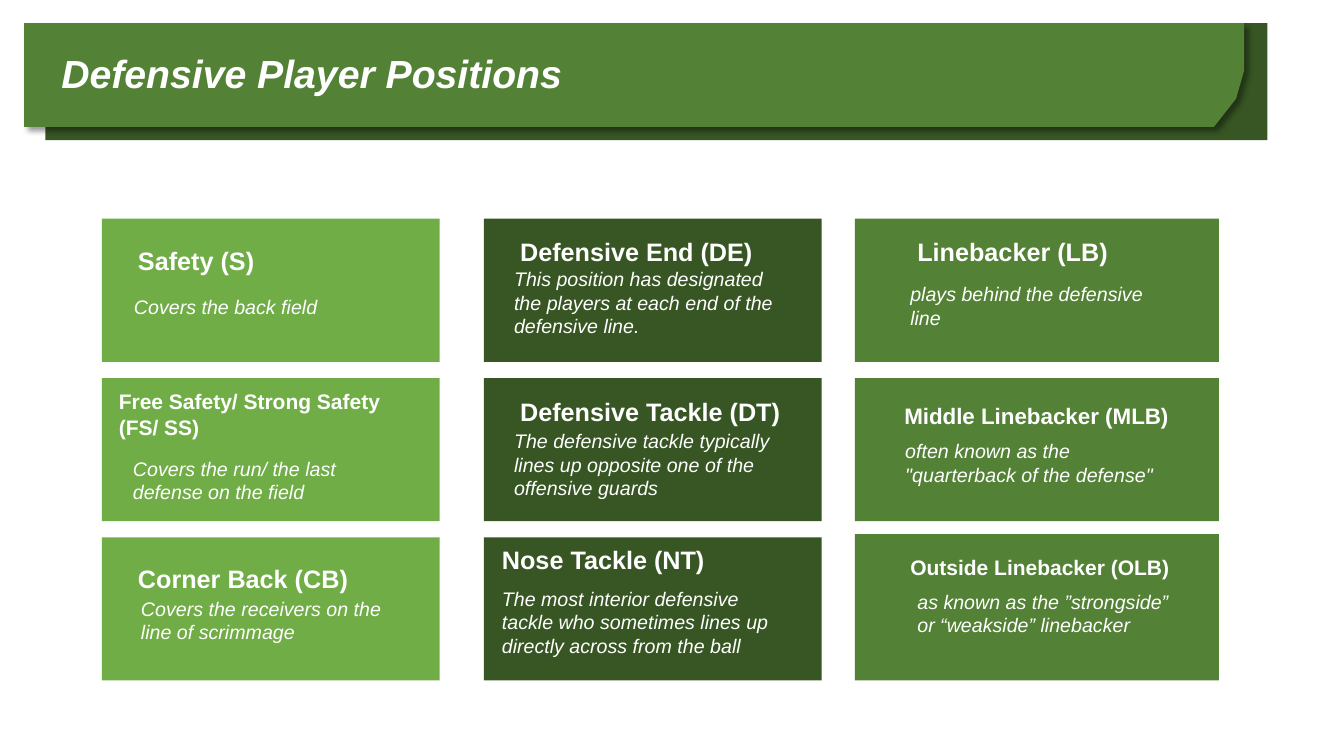
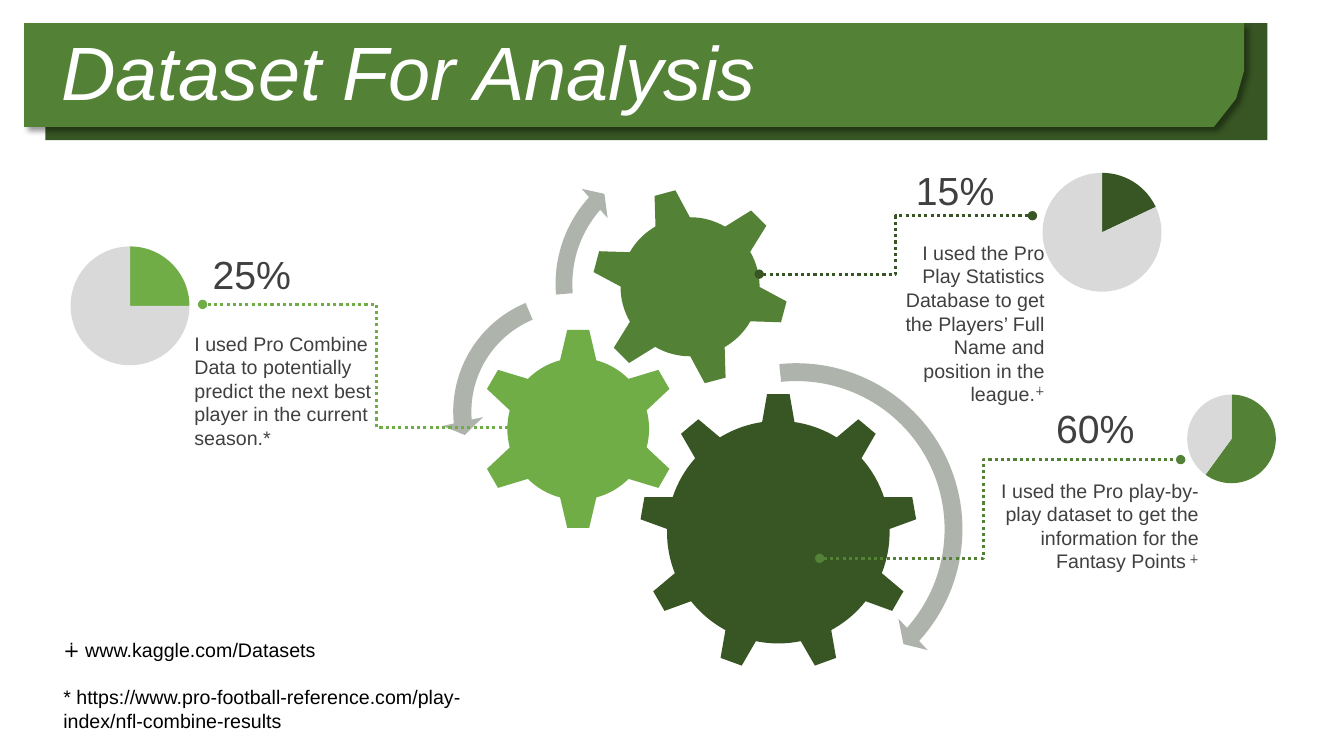
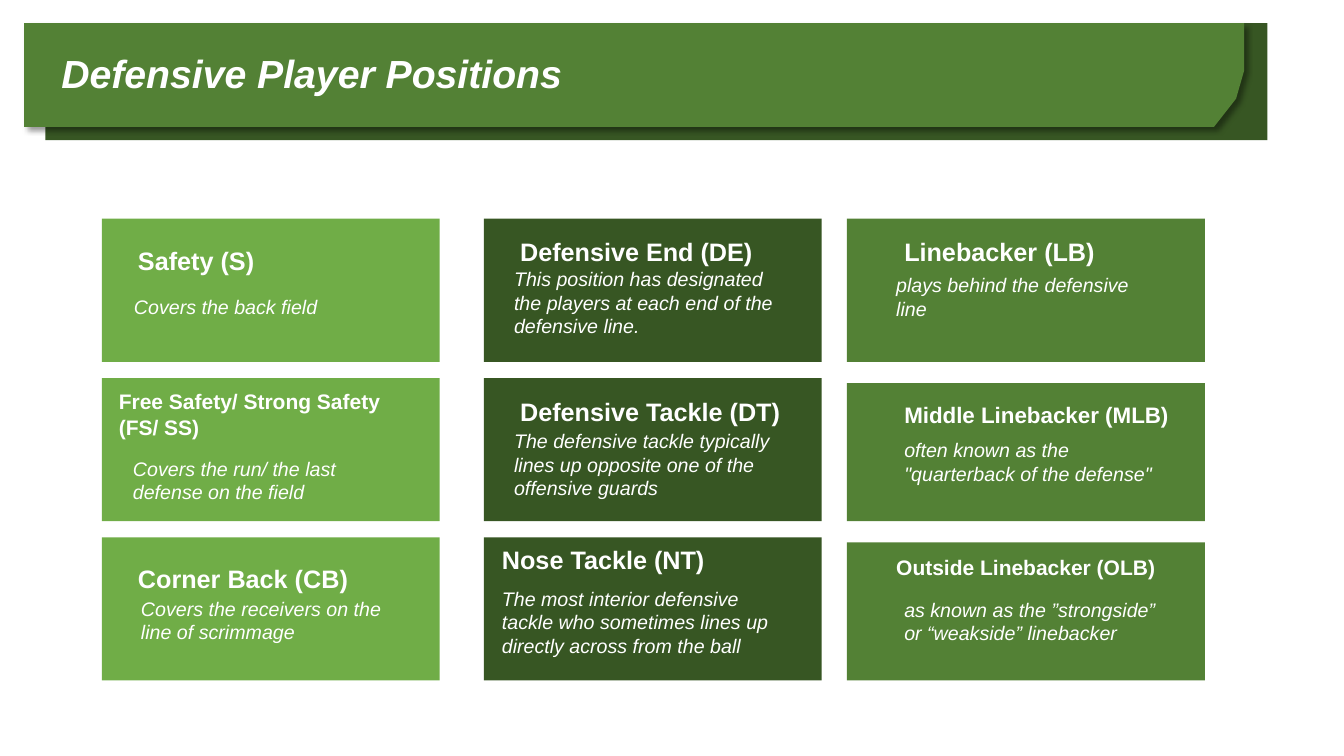
from lxml import etree
from pptx import Presentation
from pptx.chart.data import CategoryChartData
from pptx.dml.color import RGBColor
from pptx.enum.chart import XL_CHART_TYPE
from pptx.enum.dml import MSO_LINE
from pptx.enum.shapes import MSO_CONNECTOR, MSO_SHAPE
from pptx.enum.text import MSO_ANCHOR, MSO_AUTO_SIZE, PP_ALIGN
from pptx.oxml import parse_xml
from pptx.oxml.ns import nsdecls, qn
from pptx.util import Pt

PX = 9144  # EMU per px, 100 px to the inch
FONT = "Arial"
COLORS = {
    "light": "70AD47",
    "mid": "538135",
    "dark": "375623",
    "arrow": "AEB4AC",
    "rest": "D9D9D9",
    "text": "404040",
    "white": "FFFFFF",
    "black": "000000",
}
RECT = MSO_SHAPE.RECTANGLE
GEAR_6, GEAR_9 = MSO_SHAPE.GEAR_6, MSO_SHAPE.GEAR_9
ARC = MSO_SHAPE.CIRCULAR_ARROW
LEFT_ARC = MSO_SHAPE.LEFT_CIRCULAR_ARROW
ELBOW = MSO_CONNECTOR.ELBOW
PIE = XL_CHART_TYPE.PIE
DOTTED = MSO_LINE.ROUND_DOT
TOP, MIDDLE = MSO_ANCHOR.TOP, MSO_ANCHOR.MIDDLE
LEFT, RIGHT = PP_ALIGN.LEFT, PP_ALIGN.RIGHT
GROW = MSO_AUTO_SIZE.SHAPE_TO_FIT_TEXT

ROW_TOP, ROW_PITCH, CARD_HEIGHT = 217, 158, 142
EVEN_ROWS = [(ROW_TOP + row * ROW_PITCH, CARD_HEIGHT) for row in range(3)]

# Each position: (heading, size, left, top, width), (description, left, top, width)
SAFETIES = [
    (("Safety (S)", 18, 127, 238, 282),
     ("Covers the back field", 123, 288, 282)),
    (("Free Safety/ Strong Safety (FS/ SS)", 15, 108, 381, 319),
     ("Covers the run/ the last defense on the field", 122, 448, 282)),
    (("Corner Back (CB)", 18, 127, 554, 282),
     ("Covers the receivers on the line of scrimmage", 130, 587, 282)),
]
LINEMEN = [
    (("Defensive End (DE)", 18, 506, 230, 282),
     ("This position has designated the players at each end of the "
      "defensive line.", 500, 260, 295)),
    (("Defensive Tackle (DT)", 18, 506, 388, 282),
     ("The defensive tackle typically lines up opposite one of the "
      "offensive guards", 500, 421, 295)),
    (("Nose Tackle (NT)", 18, 488, 535, 282),
     ("The most interior defensive tackle who sometimes lines up directly "
      "across from the ball", 488, 577, 306)),
]
LINEBACKERS = [
    ("Linebacker (LB)", 18, "plays behind the defensive line"),
    ("Middle Linebacker (MLB)", 16,
     'often known as the "quarterback of the defense"'),
    ("Outside Linebacker (OLB)", 15,
     "as known as the ”strongside” or “weakside” linebacker"),
]
# Linebacker column: left, width, rows, (heading left, top, body left, top)
WIDE_COLUMN = (848, 361, EVEN_ROWS[:2] + [(530, 145)],
               [(900, 230, 893, 275), (887, 394, 888, 431),
                (893, 545, 900, 580)])
NARROW_COLUMN = (840, 355, EVEN_ROWS[:1] + [(380, 137), (538, 137)],
                 [(887, 230, 879, 266), (887, 393, 887, 430),
                  (879, 545, 887, 588)])


def px(*lengths):
    return [length * PX for length in lengths]


def rgb(name):
    return RGBColor.from_string(COLORS[name])


def paint(shape, color):
    shape.fill.solid()
    shape.fill.fore_color.rgb = rgb(color)
    shape.line.fill.background()
    shape.shadow.inherit = False


def add_preset(slide, preset, box, color, adjustments=(), rotation=0):
    shape = slide.shapes.add_shape(preset, *px(*box))
    paint(shape, color)
    shape.rotation = rotation
    for index, value in enumerate(adjustments):
        shape.adjustments[index] = value


def add_text(slide, box, lines, size, color="white", bold=False, italic=False,
             align=LEFT, anchor=TOP, superscript="", gap=0, grow=True):
    frame = slide.shapes.add_textbox(*px(*box)).text_frame
    frame.word_wrap = True
    frame.vertical_anchor = anchor
    if grow:
        frame.auto_size = GROW
    frame.text = "\n".join(lines)
    for index, paragraph in enumerate(frame.paragraphs):
        paragraph.alignment = align
        if index:
            paragraph.space_before = Pt(gap)
        font = paragraph.font
        font.name, font.size = FONT, Pt(size)
        font.bold, font.italic = bold, italic
        font.color.rgb = rgb(color)
    if superscript:
        mark = frame.paragraphs[-1].add_run()
        mark.text = superscript
        mark.font._element.set("baseline", "30000")
    return frame


def add_banner(slide, title, size, bold):
    add_preset(slide, RECT, (45, 23, 1212, 116), "dark")
    outline = slide.shapes.build_freeform(24, 23, scale=PX)
    outline.add_line_segments(
        [(1234, 23), (1234, 70), (1226, 98), (1204, 126), (24, 126)])
    banner = outline.convert_to_shape()
    paint(banner, "mid")
    banner._element.spPr.find(qn("a:effectLst")).append(parse_xml(
        f'<a:outerShdw {nsdecls("a")} blurRad="50800" dist="38100" '
        f'dir="2700000" algn="tl" rotWithShape="0">'
        f'<a:srgbClr val="{COLORS["black"]}"><a:alpha val="40000"/>'
        f'</a:srgbClr></a:outerShdw>'))
    frame = add_text(slide, (51, 36, 1098, 79), [title], size, bold=bold,
                     italic=True, anchor=MIDDLE, grow=False)
    frame.paragraphs[0].line_spacing = 0.9


def add_cards(slide, left, width, rows, color, positions):
    for top, height in rows:
        add_preset(slide, RECT, (left, top, width, height), color)
    for heading, description in positions:
        name, size, x, y, w = heading
        add_text(slide, (x, y, w, 40), [name], size, bold=True)
        body, x, y, w = description
        add_text(slide, (x, y, w, 57), [body], 14, italic=True)


def add_leader(slide, start, end, bend, color):
    """Dotted elbow line with round ends; bend is a share of its width."""
    leader = slide.shapes.add_connector(ELBOW, *px(*start, *end))
    leader.line.color.rgb = rgb(color)
    leader.line.width = Pt(2.25)
    leader.line.dash_style = DOTTED
    properties = leader._element.spPr
    for end_tag in ("a:headEnd", "a:tailEnd"):
        etree.SubElement(properties.find(qn("a:ln")), qn(end_tag), type="oval")
    etree.SubElement(properties, qn("a:effectLst"))
    geometry = properties.find(qn("a:prstGeom"))
    for old in geometry.findall(qn("a:avLst")):
        geometry.remove(old)
    guides = etree.SubElement(geometry, qn("a:avLst"))
    etree.SubElement(guides, qn("a:gd"), name="adj1",
                     fmla=f"val {bend * 1000:.0f}")


def add_pie(slide, box, diameter, values, colors):
    data = CategoryChartData()
    data.categories = [str(number + 1) for number in range(len(values))]
    data.add_series("Series 1", values)
    chart = slide.shapes.add_chart(PIE, *px(*box), data).chart
    chart.has_legend = chart.has_title = False
    chart.font.name, chart.font.size = FONT, Pt(18)
    chart.font.color.rgb = rgb("black")
    plot = chart.plots[0]
    plot.vary_by_categories = True
    for index, color in enumerate(colors):
        style = plot.series[0].points[index].format
        style.fill.solid()
        style.fill.fore_color.rgb = rgb(color)
        style.line.fill.background()
    # Centre the pie at its given diameter
    w, h = diameter / box[2], diameter / box[3]
    area = chart._chartSpace.chart.plotArea
    for old in area.findall(qn("c:layout")):
        area.remove(old)
    parts = [("x", (1 - w) / 2), ("y", (1 - h) / 2), ("w", w), ("h", h)]
    area.insert(0, parse_xml(
        f'<c:layout {nsdecls("c")}><c:manualLayout>'
        '<c:layoutTarget val="inner"/>'
        '<c:xMode val="edge"/><c:yMode val="edge"/>'
        + "".join(f'<c:{key} val="{value:.4f}"/>' for key, value in parts)
        + '</c:manualLayout></c:layout>'))


def add_callout(slide, share, share_box, body, body_box, align, mark=""):
    add_text(slide, body_box, [body], 14, "text", align=align,
             superscript=mark)
    add_text(slide, share_box, [share], 28, "text", align=align,
             anchor=MIDDLE)


def new_slide(prs):
    return prs.slides.add_slide(prs.slide_layouts[6])


def build_positions(prs, linebacker_column):
    slide = new_slide(prs)
    add_banner(slide, "Defensive Player Positions", 28, True)
    add_cards(slide, 101, 335, EVEN_ROWS, "light", SAFETIES)
    add_cards(slide, 480, 335, EVEN_ROWS, "dark", LINEMEN)
    left, width, rows, places = linebacker_column
    linebackers = [
        ((name, size, head_x, head_y, 282), (body, body_x, body_y, 282))
        for (name, size, body), (head_x, head_y, body_x, body_y)
        in zip(LINEBACKERS, places)]
    add_cards(slide, left, width, rows, "mid", linebackers)


def build_dataset(prs):
    slide = new_slide(prs)
    add_banner(slide, "Dataset For Analysis", 54, False)

    # Gears and the arrows around them
    add_preset(slide, GEAR_9, (634, 390, 276, 276), "dark")
    add_preset(slide, GEAR_6, (473, 325, 201, 201), "light")
    add_preset(slide, GEAR_6, (586, 186, 197, 197), "mid", rotation=345)
    add_preset(slide, ARC, (613, 348, 354, 354), "arrow",
               (0.05, 2.99, 25.25, 158.43, 0.06))
    add_preset(slide, LEFT_ARC, (438, 280, 257, 257), "arrow",
               (0.07, 4.3, 104.89, 148.38, 0.08))
    add_preset(slide, ARC, (540, 143, 277, 277), "arrow",
               (0.06, 3.94, 133.14, 105.08, 0.07))

    # Player statistics
    add_pie(slide, (987, 158, 212, 145), 118, (18, 82), ("dark", "rest"))
    add_leader(slide, (753, 272), (1024, 214), 50, "dark")
    add_callout(slide, "15%", (765, 160, 231, 57),
                "I used the Pro Play Statistics Database to get the Players’ "
                "Full Name and position in the league.",
                (873, 234, 173, 175), RIGHT, "∔")

    # Play-by-play
    add_leader(slide, (813, 554), (1171, 456), 45.3, "mid")
    add_callout(slide, "60%", (904, 396, 231, 57),
                "I used the Pro play-by- play dataset to get the information "
                "for the Fantasy Points",
                (968, 470, 231, 104), RIGHT, " ∔")
    add_pie(slide, (1135, 378, 173, 115), 88, (60, 40), ("mid", "rest"))

    # Combine
    add_leader(slide, (508, 424), (201, 302), 43.7, "light")
    add_callout(slide, "25%", (201, 243, 231, 57),
                "I used Pro Combine Data to potentially predict the next best "
                "player in the current season.*",
                (183, 324, 196, 151), LEFT)
    add_pie(slide, (23, 231, 212, 145), 118, (25, 75, 0, 0),
            ("light", "rest", "light", "dark"))

    # Sources
    add_text(slide, (53, 628, 453, 104),
             ["∔ www.kaggle.com/Datasets",
              "* https://www.pro-football-reference.com/play-index/"
              "nfl-combine-results"], 14, "black", gap=17)


def main():
    prs = Presentation()
    prs.slide_width, prs.slide_height = px(1333, 750)
    build_positions(prs, WIDE_COLUMN)
    build_dataset(prs)
    build_positions(prs, NARROW_COLUMN)
    prs.save("out.pptx")


if __name__ == "__main__":
    main()
